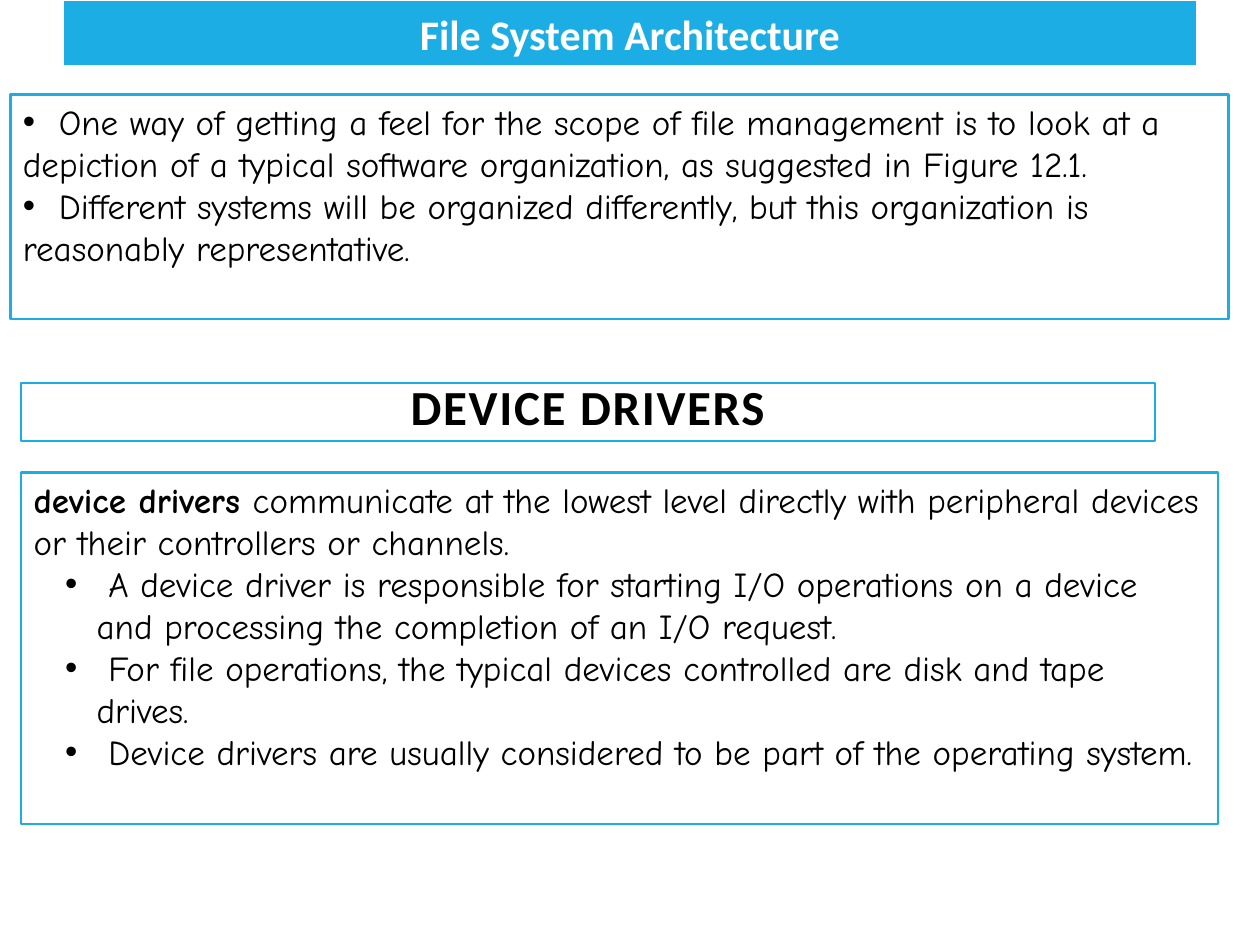
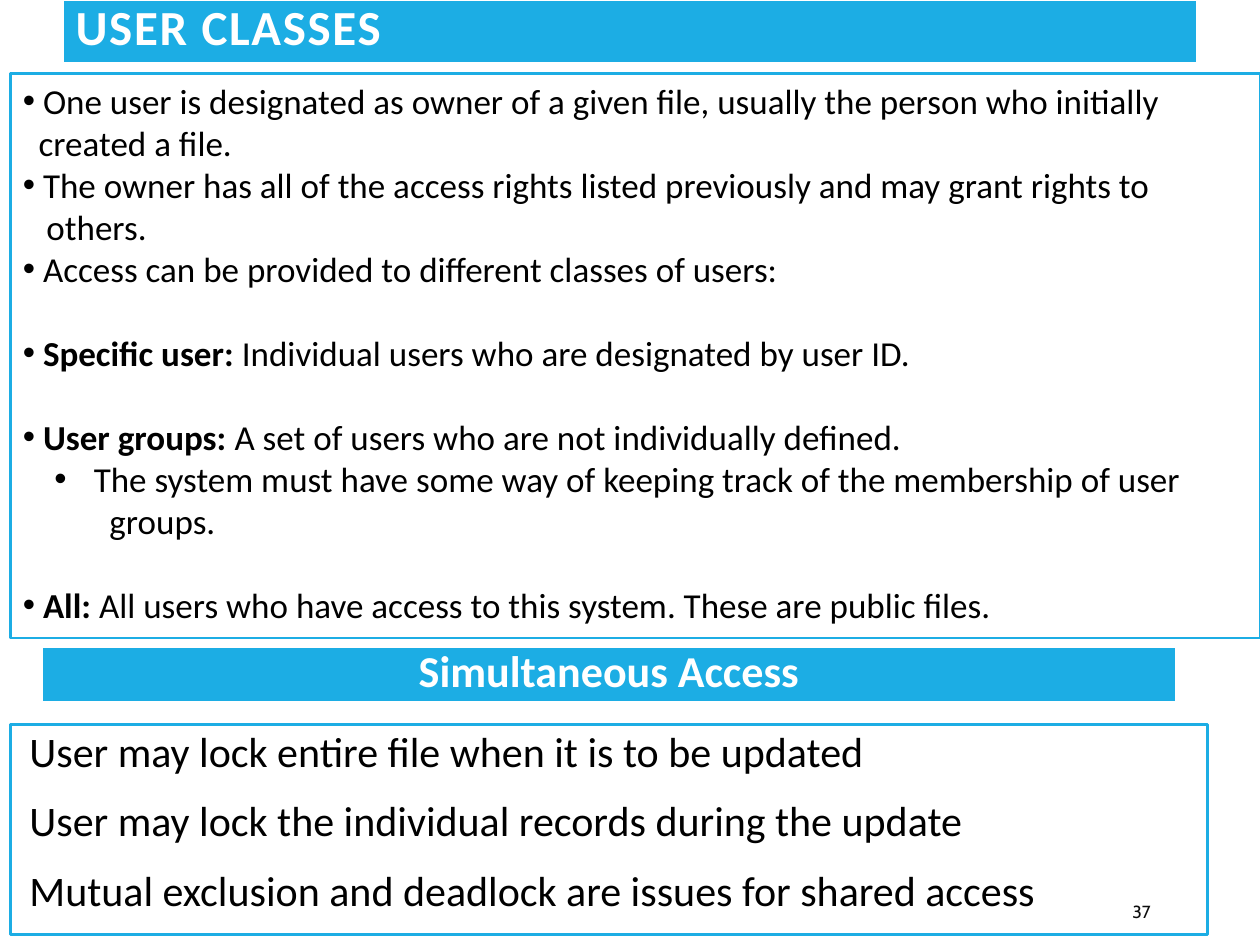
from dataclasses import dataclass

from lxml.etree import SubElement
from pptx import Presentation
from pptx.dml.color import RGBColor
from pptx.enum.shapes import MSO_SHAPE
from pptx.enum.text import MSO_ANCHOR as Anchor, MSO_AUTO_SIZE as AutoSize, PP_ALIGN as Align
from pptx.oxml.ns import qn
from pptx.util import Pt


@dataclass(frozen=True)
class Theme:
    accent: RGBColor = RGBColor(0x1C, 0xAD, 0xE4)
    white: RGBColor = RGBColor(0xFF, 0xFF, 0xFF)
    black: RGBColor = RGBColor(0, 0, 0)
    number: RGBColor = RGBColor(0x0D, 0x0D, 0x0D)
    main_font: str = "Calibri"
    hand_font: str = "Comic Neue"
    number_font: str = "Cabin"
    title_size: float = 28
    subtitle_size: float = 25.2
    heading_size: float = 24
    text_size: float = 20
    number_size: float = 10


THEME = Theme()

# Box looks: filled band, or white panel with an accent outline
BAND = {"fill": THEME.accent, "line": THEME.white, "width": 1.5,
        "color": THEME.white, "anchor": Anchor.MIDDLE}
PANEL = {"fill": THEME.white, "line": THEME.accent, "width": 1.25,
         "color": THEME.black, "anchor": Anchor.TOP}
TITLE = {"size": THEME.title_size, "spacing": 0.8, "tracking": 1}
HAND = {"font": THEME.hand_font}

# Paragraph formats, in points
TAB_BULLET = {"bullet": True, "tab": 20.5}
SUB_BULLET = {"bullet": True, "left": 36, "indent": -18}
BULLET = {"bullet": True, "left": 11.5, "indent": -11.5}
SPACED_BULLET = {**BULLET, "before": 24}
INNER_BULLET = {"bullet": True, "left": 40.5, "indent": -22.5}
LOCK_LINE = {"left": 7.2, "before": 12, "after": 2}


def write(shape, paragraphs, look):
    """Fill a shape with (bold text, plain text, format) paragraphs."""
    frame = shape.text_frame
    inset = look.get("inset")
    settings = {"word_wrap": True, "auto_size": AutoSize.NONE,
                "vertical_anchor": look["anchor"],
                "margin_left": Pt(inset or 7.2), "margin_right": Pt(inset or 7.2),
                "margin_top": Pt(3.6), "margin_bottom": Pt(3.6)}
    for name, value in settings.items():
        setattr(frame, name, value)

    for index, (bold_text, plain_text, style) in enumerate(paragraphs):
        paragraph = frame.add_paragraph() if index else frame.paragraphs[0]
        properties = paragraph._p.get_or_add_pPr()
        properties.set("marL", str(Pt(style.get("left", 0))))
        properties.set("indent", str(Pt(style.get("indent", 0))))
        if style.get("bullet"):
            SubElement(properties, qn("a:buFont"), typeface="Arial")
            SubElement(properties, qn("a:buChar"), char="•")
        else:
            SubElement(properties, qn("a:buNone"))
        if "tab" in style:
            tabs = SubElement(properties, qn("a:tabLst"))
            SubElement(tabs, qn("a:tab"), pos=str(Pt(style["tab"])), algn="l")
        layout = {"alignment": look.get("align", Align.LEFT),
                  "line_spacing": look.get("spacing", 1.0),
                  "space_before": Pt(style.get("before", 0) if index else 0),
                  "space_after": Pt(style.get("after", 0))}
        for name, value in layout.items():
            setattr(paragraph, name, value)

        for text, bold in ((bold_text, True), (plain_text, False)):
            if not text:
                continue
            run = paragraph.add_run()
            run.text = text
            run.font.color.rgb = look["color"]
            letters = {"name": look.get("font", THEME.main_font),
                       "size": Pt(look.get("size", THEME.text_size)), "bold": bold}
            for name, value in letters.items():
                setattr(run.font, name, value)
            if "tracking" in look:
                run._r.get_or_add_rPr().set("spc", str(look["tracking"] * 100))


def build_box(slide, role, bounds, look, paragraphs):
    """Place a title, a body or a free rectangle and write its text."""
    if role == "title":
        shape = slide.shapes.title
    elif role == "body":
        shape = slide.placeholders[1]
    else:
        shape = slide.shapes.add_shape(MSO_SHAPE.RECTANGLE, 0, 0, 0, 0)
    for name, value in zip(("left", "top", "width", "height"), bounds):
        setattr(shape, name, Pt(value))
    shape.shadow.inherit = False
    shape.fill.solid()
    shape.fill.fore_color.rgb = look["fill"]
    shape.line.color.rgb = look["line"]
    shape.line.width = Pt(look["width"])
    write(shape, paragraphs, look)


architecture_boxes = [
    ("band", (36, 0, 648, 38), {**BAND, "size": THEME.heading_size, "align": Align.CENTER},
     [("File System Architecture", "", {})]),
    ("panel", (6, 54, 696, 128.2), {**PANEL, **HAND}, [
        ("", "\tOne way of getting a feel for the scope of file management is to look at a "
             "depiction of a typical software organization, as suggested in Figure 12.1.",
         TAB_BULLET),
        ("", "\tDifferent systems will be organized differently, but this organization is "
             "reasonably representative.", TAB_BULLET)]),
    ("title", (12, 218.8, 648, 33),
     {**PANEL, **TITLE, "align": Align.CENTER, "anchor": Anchor.MIDDLE},
     [("DEVICE DRIVERS", "", {})]),
    ("body", (12, 270, 684, 201), {**PANEL, **HAND}, [
        ("device drivers ", "communicate at the lowest level directly with peripheral devices "
                            "or their controllers or channels.", {}),
        ("", " A device driver is responsible for starting I/O operations on a device "
             "and processing the completion of an I/O request.", SUB_BULLET),
        ("", " For file operations, the typical devices controlled are disk and tape drives.",
         SUB_BULLET),
        ("", " Device drivers are usually considered to be part of the operating system.",
         SUB_BULLET)]),
]

access_boxes = [
    ("title", (36, 0, 648, 36), {**BAND, **TITLE}, [("USER CLASSES", "", {})]),
    ("body", (6, 414, 684, 120),
     {**PANEL, "size": THEME.heading_size, "spacing": 0.9, "inset": 3.6}, [
        ("", "User may lock entire file when it is to be updated", LOCK_LINE),
        ("", "User may lock the individual records during the update", LOCK_LINE),
        ("", "Mutual exclusion and deadlock are issues for shared access", LOCK_LINE)]),
    ("panel", (6, 42, 714, 322.4), PANEL, [
        ("", "One user is designated as owner of a given file, usually the person who initially",
         BULLET),
        ("", "created a file.", {"left": 9}),
        ("", "The owner has all of the access rights listed previously and may grant rights to",
         BULLET),
        ("", "others.", {"left": 13.5}),
        ("", "Access can be provided to different classes of users:", BULLET),
        ("Specific user: ", "Individual users who are designated by user ID.", SPACED_BULLET),
        ("User groups: ", "A set of users who are not individually defined.", SPACED_BULLET),
        ("", "The system must have some way of keeping track of the membership of user",
         INNER_BULLET),
        ("", "groups.", {"left": 49.5}),
        ("All: ", "All users who have access to this system. These are public files.",
         SPACED_BULLET)]),
    ("band", (24, 369.6, 648, 32),
     {**BAND, "size": THEME.subtitle_size, "spacing": 0.8, "align": Align.CENTER},
     [("Simultaneous Access", "", {})]),
]

presentation = Presentation()
presentation.slide_width = Pt(720)
presentation.slide_height = Pt(540)

for boxes in (architecture_boxes, access_boxes):
    slide = presentation.slides.add_slide(presentation.slide_layouts[1])
    for box in boxes:
        build_box(slide, *box)

page_number = slide.shapes.add_textbox(Pt(640), Pt(510), Pt(57.6), Pt(21.6))
write(page_number, [("", "37", {})],
      {"size": THEME.number_size, "font": THEME.number_font,
       "color": THEME.number, "anchor": Anchor.MIDDLE})

presentation.save("out.pptx")
